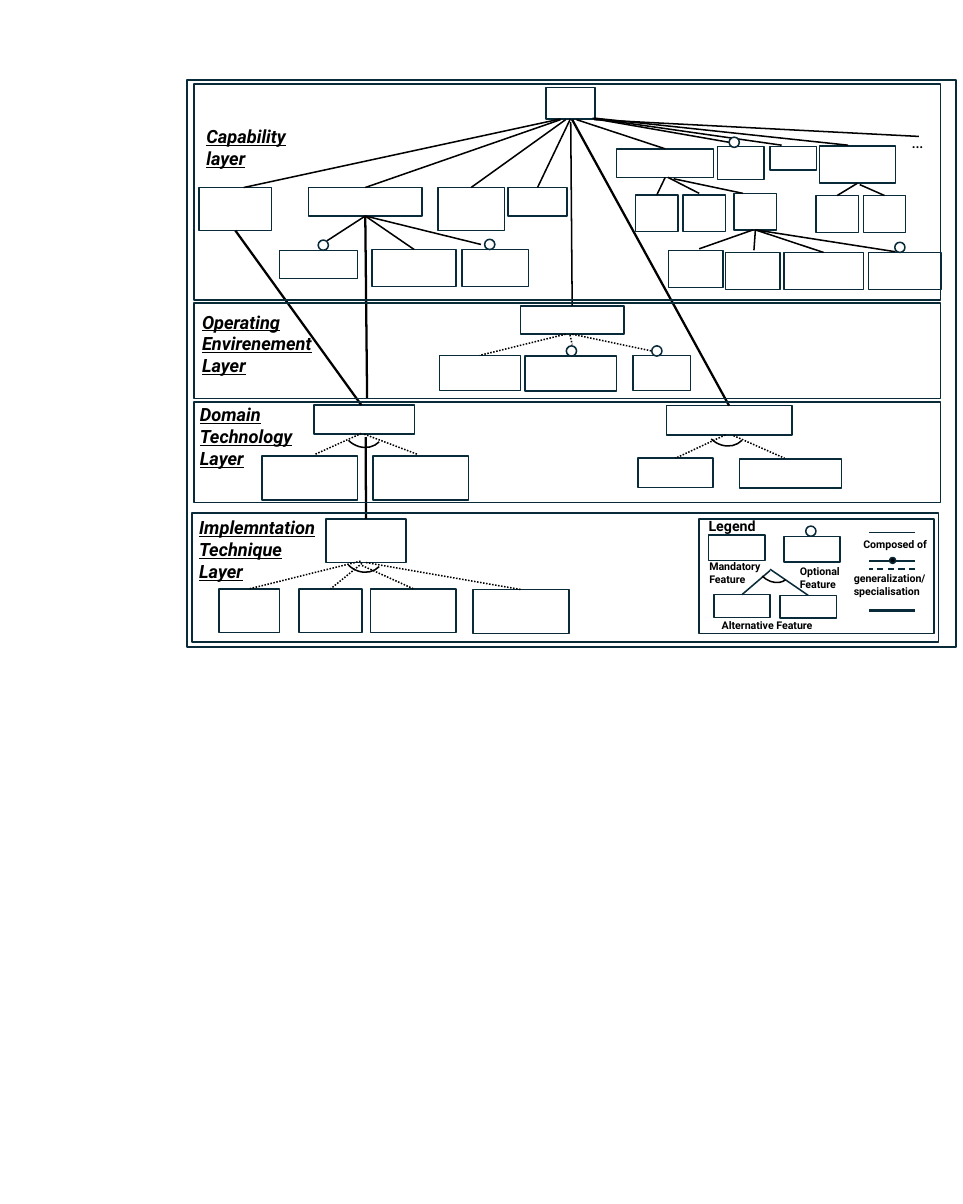
from dataclasses import dataclass
from typing import NamedTuple

from lxml.etree import SubElement
from pptx import Presentation
from pptx.dml.color import RGBColor
from pptx.enum.dml import MSO_LINE_DASH_STYLE as Dash
from pptx.enum.shapes import MSO_CONNECTOR, MSO_SHAPE as Preset
from pptx.enum.text import MSO_AUTO_SIZE
from pptx.oxml.ns import qn
from pptx.util import Emu, Pt

EMU_PER_PX = 9144
JOIN_REACH = 2
MARKER_SIZE = 14
FONT = "Roboto"
COLOURS = {"ink": "092A39", "black": "000000", "white": "FFFFFF"}


class Box(NamedTuple):
    left: int
    top: int
    width: int
    height: int


@dataclass
class Link:
    start: tuple[int, int]
    end: tuple[int, int]
    weight: float = 1.5
    colour: str = "black"
    dash: Dash | None = None


@dataclass
class Label:
    box: Box
    text: str
    size: float = 10.5
    bold: bool = True
    heading: bool = False


def fan(*pairs: tuple[int, int, int, int], **style) -> list[Link]:
    return [Link((x1, y1), (x2, y2), **style) for x1, y1, x2, y2 in pairs]


FEATURES = [
    Box(748, 120, 67, 43), Box(273, 257, 99, 59), Box(423, 257, 155, 39),
    Box(600, 257, 91, 59), Box(696, 257, 81, 39), Box(383, 343, 107, 39),
    Box(510, 342, 115, 51), Box(633, 342, 91, 51), Box(845, 204, 133, 39),
    Box(871, 267, 58, 50), Box(936, 267, 58, 50), Box(1006, 265, 58, 50),
    Box(983, 201, 64, 45), Box(1055, 201, 64, 32), Box(1123, 200, 104, 51),
    Box(1118, 268, 58, 51), Box(1183, 268, 58, 51), Box(916, 343, 75, 51),
    Box(994, 346, 75, 51), Box(1074, 346, 109, 51), Box(1190, 346, 99, 51),
    Box(713, 419, 142, 39), Box(602, 487, 111, 48), Box(719, 488, 126, 48),
    Box(867, 487, 79, 48), Box(913, 556, 172, 40), Box(874, 628, 103, 40),
    Box(1013, 629, 140, 40), Box(430, 555, 138, 40), Box(359, 625, 131, 60),
    Box(511, 625, 131, 60), Box(447, 711, 109, 60), Box(300, 807, 83, 60),
    Box(410, 807, 86, 60), Box(508, 807, 117, 60), Box(648, 808, 132, 60),
]
LEGEND_FEATURES = [
    Box(971, 733, 77, 35), Box(1074, 735, 77, 35),
    Box(978, 815, 77, 31), Box(1069, 816, 77, 31),
]
LEGEND_FRAME = Box(958, 711, 322, 157)
PANELS = [
    Box(266, 115, 1023, 296), Box(266, 415, 1023, 131), Box(266, 551, 1023, 138),
    Box(263, 703, 1023, 177), Box(256, 110, 1054, 777), LEGEND_FRAME,
]
OPTIONAL_MARKERS = [
    (436, 329), (664, 328), (999, 188), (1226, 332),
    (776, 474), (893, 474), (1104, 721),
]
ALTERNATIVE_ARCS = [Box(966, 550, 56, 63), Box(469, 552, 56, 63), Box(469, 723, 56, 63)]
LEGEND_ARC = Box(1038, 748, 42, 53)

LINKS = [
    *fan((768, 163, 334, 257), (768, 164, 500, 257), (775, 164, 646, 257),
         (782, 164, 737, 257), (790, 164, 912, 204), (815, 163, 999, 195),
         (812, 162, 1071, 199), (815, 162, 1162, 199), (814, 164, 1259, 187),
         (782, 167, 783, 418)),
    *fan((499, 296, 448, 330), (500, 297, 568, 341), (502, 297, 659, 335)),
    *fan((913, 245, 900, 267), (915, 243, 958, 265), (923, 245, 1018, 265)),
    *fan((1032, 315, 958, 341), (1034, 315, 1033, 343),
         (1037, 315, 1130, 346), (1037, 315, 1227, 345)),
    *fan((1178, 253, 1211, 268), (1175, 251, 1147, 268)),
    *fan((775, 458, 657, 487), (782, 459, 893, 481), (781, 459, 784, 472),
         (1005, 597, 1075, 628), (994, 596, 926, 628),
         (495, 594, 431, 623), (499, 595, 573, 623),
         (494, 769, 342, 807), (496, 772, 453, 807),
         (496, 775, 567, 807), (502, 771, 714, 808), dash=Dash.ROUND_DOT),
    *fan((784, 164, 999, 556), (323, 316, 495, 555),
         (500, 296, 503, 546), (501, 599, 502, 711), weight=2.25),
]
LEGEND_LINKS = [
    *fan((1055, 782, 1016, 815), (1106, 815, 1055, 780),
         (1254, 730, 1190, 730), (1254, 769, 1190, 769), colour="ink"),
    *fan((1254, 780, 1190, 780), colour="ink", dash=Dash.DASH),
    *fan((1254, 837, 1190, 837), colour="ink", weight=3),
]
LABELS = [
    Label(Box(273, 167, 174, 71), "Capability\nlayer", 18, heading=True),
    Label(Box(267, 421, 200, 101), "Operating\nEnvirenement\nLayer", 18, heading=True),
    Label(Box(264, 548, 200, 101), "Domain\nTechnology\nLayer", 18, heading=True),
    Label(Box(263, 703, 200, 101), "Implemntation\nTechnique\nLayer", 18, heading=True),
    Label(Box(1239, 174, 26, 40), "…", 18, bold=False),
    Label(Box(961, 704, 174, 34), "Legend", 14),
    Label(Box(1173, 732, 121, 28), "Composed of"),
    Label(Box(979, 843, 152, 28), "Alternative Feature"),
    Label(Box(962, 762, 121, 45), "Mandatory\nFeature"),
    Label(Box(1086, 769, 121, 45), "Optional\nFeature"),
    Label(Box(1160, 779, 121, 45), "generalization/specialisation"),
]


def px(*lengths: int) -> list[Emu]:
    return [Emu(length * EMU_PER_PX) for length in lengths]


def rgb(name: str) -> RGBColor:
    return RGBColor.from_string(COLOURS[name])


def draw_shape(slide, box: Box, preset=Preset.RECTANGLE, fill: str | None = None, line: str = "ink"):
    shape = slide.shapes.add_shape(preset, *px(*box))
    shape.shadow.inherit = False
    if fill:
        shape.fill.solid()
        shape.fill.fore_color.rgb = rgb(fill)
    else:
        shape.fill.background()
    shape.line.color.rgb = rgb(line)
    shape.line.width = Pt(1.5)
    return shape


def draw_arc(slide, box: Box):
    arc = draw_shape(slide, box, Preset.ARC, line="black")
    arc.rotation = 134.4
    return arc


def find_joint(point: tuple[int, int], features: list[tuple]) -> tuple | None:
    for box, shape in features:
        left, top, width, height = box
        middle_x, middle_y = left + width / 2, top + height / 2
        sides = [(middle_x, top), (left, middle_y), (middle_x, top + height), (left + width, middle_y)]
        for site, (x, y) in enumerate(sides):
            if max(abs(x - point[0]), abs(y - point[1])) <= JOIN_REACH:
                return shape, site
    return None


def draw_link(slide, link: Link, features: list[tuple]) -> None:
    connector = slide.shapes.add_connector(MSO_CONNECTOR.STRAIGHT, *px(*link.start, *link.end))
    connector.line.color.rgb = rgb(link.colour)
    connector.line.width = Pt(link.weight)
    if link.dash:
        connector.line.dash_style = link.dash
    SubElement(connector._element.spPr, qn("a:effectLst"))
    if joint := find_joint(link.start, features):
        connector.begin_connect(*joint)
    if joint := find_joint(link.end, features):
        connector.end_connect(*joint)


def draw_label(slide, label: Label) -> None:
    text_frame = slide.shapes.add_textbox(*px(*label.box)).text_frame
    text_frame.word_wrap = True
    text_frame.auto_size = MSO_AUTO_SIZE.SHAPE_TO_FIT_TEXT
    text_frame.text = label.text
    for paragraph in text_frame.paragraphs:
        for run in paragraph.runs:
            run.font.name = FONT
            run.font.size = Pt(label.size)
            run.font.bold = label.bold
            run.font.italic = run.font.underline = label.heading
            run.font.color.rgb = rgb("black")


def main() -> None:
    presentation = Presentation()
    presentation.slide_width = Pt(950)
    presentation.slide_height = Pt(1188)
    slide = presentation.slides.add_slide(presentation.slide_layouts[6])

    features = [(box, draw_shape(slide, box, fill="white")) for box in FEATURES + LEGEND_FEATURES]
    for link in LINKS + LEGEND_LINKS:
        draw_link(slide, link, features)
    for left, top in OPTIONAL_MARKERS:
        draw_shape(slide, Box(left, top, MARKER_SIZE, MARKER_SIZE), Preset.OVAL, "white")
    draw_shape(slide, Box(1219, 764, 8, 8), Preset.OVAL, "black")
    for box in ALTERNATIVE_ARCS:
        draw_arc(slide, box)
    draw_arc(slide, LEGEND_ARC).adjustments[0] = 164.885
    for box in PANELS:
        draw_shape(slide, box)
    for label in LABELS:
        draw_label(slide, label)
    presentation.save("out.pptx")


if __name__ == "__main__":
    main()
